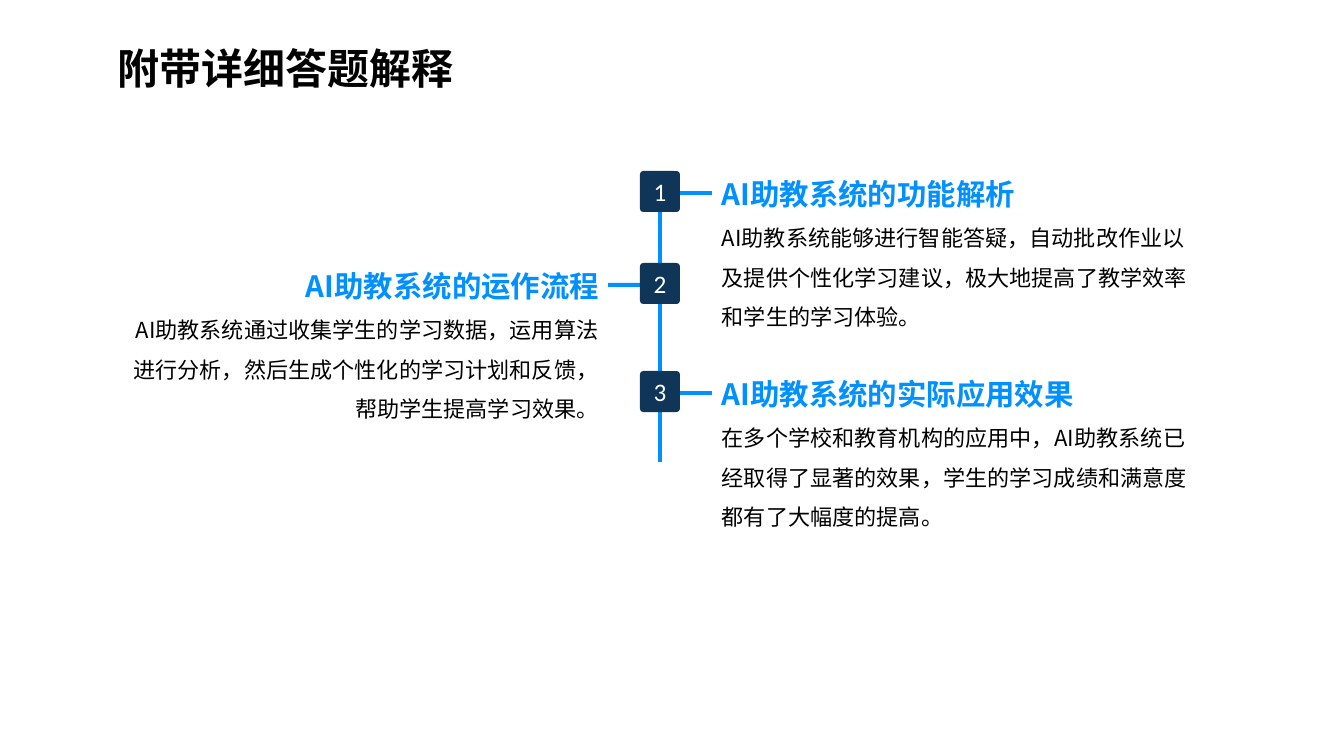
"""Build a slide with a three-step central timeline on the AI teaching assistant."""
from lxml.etree import SubElement
from pptx import Presentation
from pptx.dml.color import RGBColor
from pptx.enum.shapes import MSO_SHAPE
from pptx.enum.text import MSO_ANCHOR, MSO_AUTO_SIZE, PP_ALIGN
from pptx.oxml.ns import qn
from pptx.util import Pt

TITLE = "附带详细答题解释"
STEPS = [
    ("right", 171, "AI助教系统的功能解析",
     "AI助教系统能够进行智能答疑，自动批改作业以及提供个性化学习建议，极大地提高了教学效率和学生的学习体验。"),
    ("left", 263, "AI助教系统的运作流程",
     "AI助教系统通过收集学生的学习数据，运用算法进行分析，然后生成个性化的学习计划和反馈，帮助学生提高学习效果。"),
    ("right", 371, "AI助教系统的实际应用效果",
     "在多个学校和教育机构的应用中，AI助教系统已经取得了显著的效果，学生的学习成绩和满意度都有了大幅度的提高。"),
]
SPINE_END = 462

BLACK = RGBColor(0x00, 0x00, 0x00)
WHITE = RGBColor(0xFF, 0xFF, 0xFF)
BLUE = RGBColor(0x00, 0x90, 0xFF)
NAVY = RGBColor(0x0F, 0x35, 0x58)
CJK_FONT = "Noto Sans CJK SC"

EMU_PER_PX = 914400 / 100.8
BADGE_X, BADGE_W, BADGE_H = 640, 40, 41
LINE_W, ARM_W = 4, 34
TEXT_W, TEXT_H = 501, 164
SIDES = {
    "left": (108, 608, PP_ALIGN.RIGHT),
    "right": (712, 678, PP_ALIGN.LEFT),
}


def px(*lengths):
    return [round(length * EMU_PER_PX) for length in lengths]


def style(paragraph, text, size, color, bold=False, font=CJK_FONT,
          align=PP_ALIGN.LEFT, spacing=1.0):
    paragraph.text = text
    paragraph.alignment = align
    paragraph.line_spacing = spacing
    paragraph.font.size = Pt(size)
    paragraph.font.bold = bold
    paragraph.font.color.rgb = color
    paragraph.font.name = font
    defaults = paragraph._p.pPr.find(qn("a:defRPr"))
    SubElement(defaults, qn("a:ea")).set("typeface", font)


def add_text(slide, *box):
    frame = slide.shapes.add_textbox(*px(*box)).text_frame
    frame.word_wrap = True
    frame.auto_size = MSO_AUTO_SIZE.SHAPE_TO_FIT_TEXT
    frame.vertical_anchor = MSO_ANCHOR.MIDDLE
    return frame


def add_block(slide, preset, color, *box):
    block = slide.shapes.add_shape(preset, *px(*box))
    block.shadow.inherit = False
    block.fill.solid()
    block.fill.fore_color.rgb = color
    block.line.fill.background()
    return block


def add_step(slide, number, step, spine_end):
    side, top, heading, body = step
    text_x, arm_x, align = SIDES[side]
    frame = add_text(slide, text_x, top, TEXT_W, TEXT_H)
    style(frame.paragraphs[0], heading, 21, BLUE, bold=True, align=align)
    style(frame.add_paragraph(), body, 15.8, BLACK, align=align, spacing=1.5)

    spine_x = BADGE_X + (BADGE_W - LINE_W) / 2
    spine_top = top + BADGE_H
    add_block(slide, MSO_SHAPE.RECTANGLE, BLUE,
              spine_x, spine_top, LINE_W, spine_end - spine_top)
    add_block(slide, MSO_SHAPE.RECTANGLE, BLUE, arm_x, top + 20, ARM_W, LINE_W)
    badge = add_block(slide, MSO_SHAPE.ROUNDED_RECTANGLE, NAVY,
                      BADGE_X, top, BADGE_W, BADGE_H)
    badge.adjustments[0] = 0.09
    badge.text_frame.vertical_anchor = MSO_ANCHOR.MIDDLE
    style(badge.text_frame.paragraphs[0], str(number), 18, WHITE,
          font="Calibri", align=PP_ALIGN.CENTER)


def main():
    deck = Presentation()
    deck.slide_width, deck.slide_height = px(1344, 756)
    slide = deck.slides.add_slide(deck.slide_layouts[6])
    title = add_text(slide, 108, 12, 1033, 86)
    style(title.paragraphs[0], TITLE, 30, BLACK, bold=True, spacing=1.5)
    spine_ends = [top for _, top, _, _ in STEPS[1:]] + [SPINE_END]
    for number, (step, spine_end) in enumerate(zip(STEPS, spine_ends), 1):
        add_step(slide, number, step, spine_end)
    deck.save("out.pptx")


if __name__ == "__main__":
    main()
